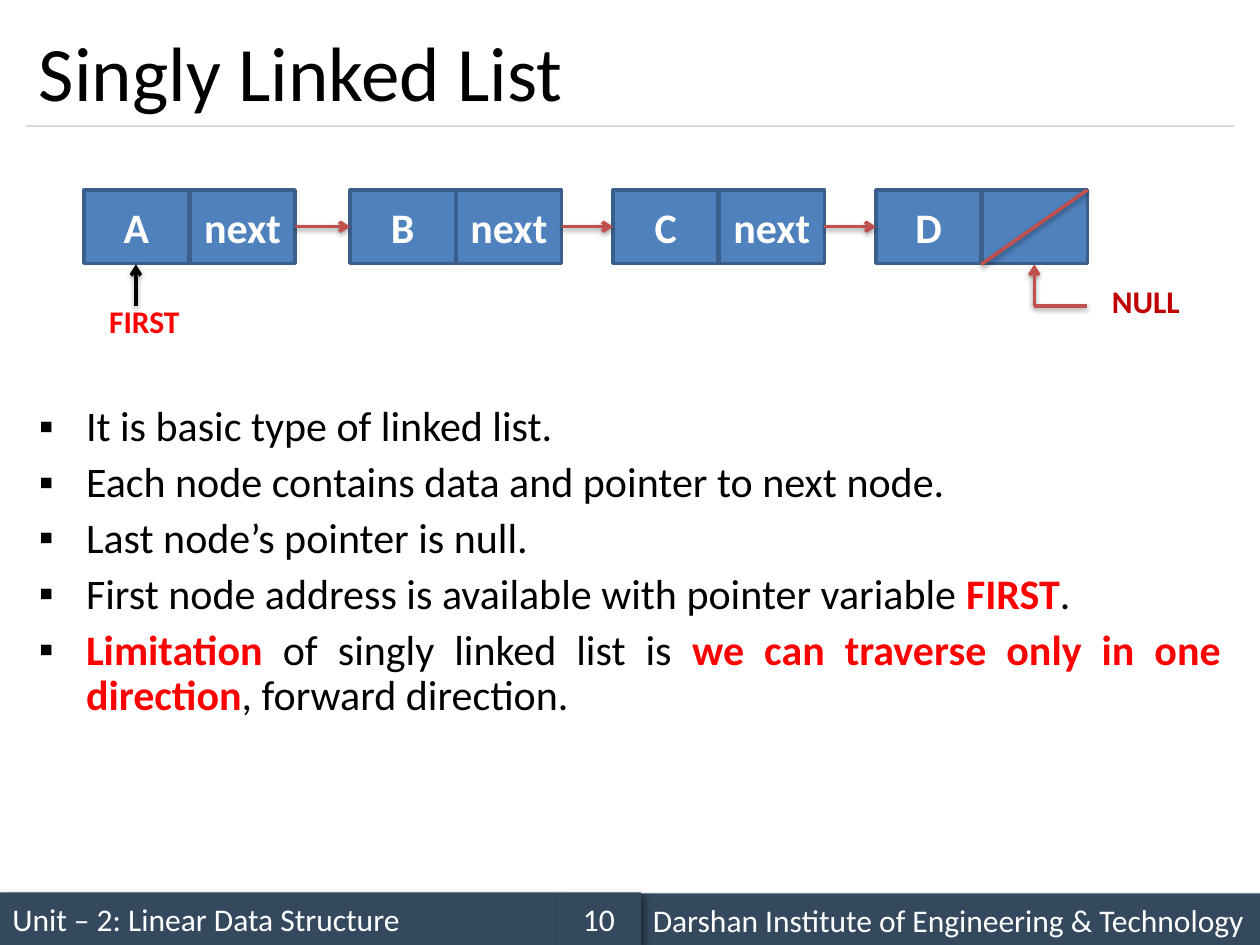
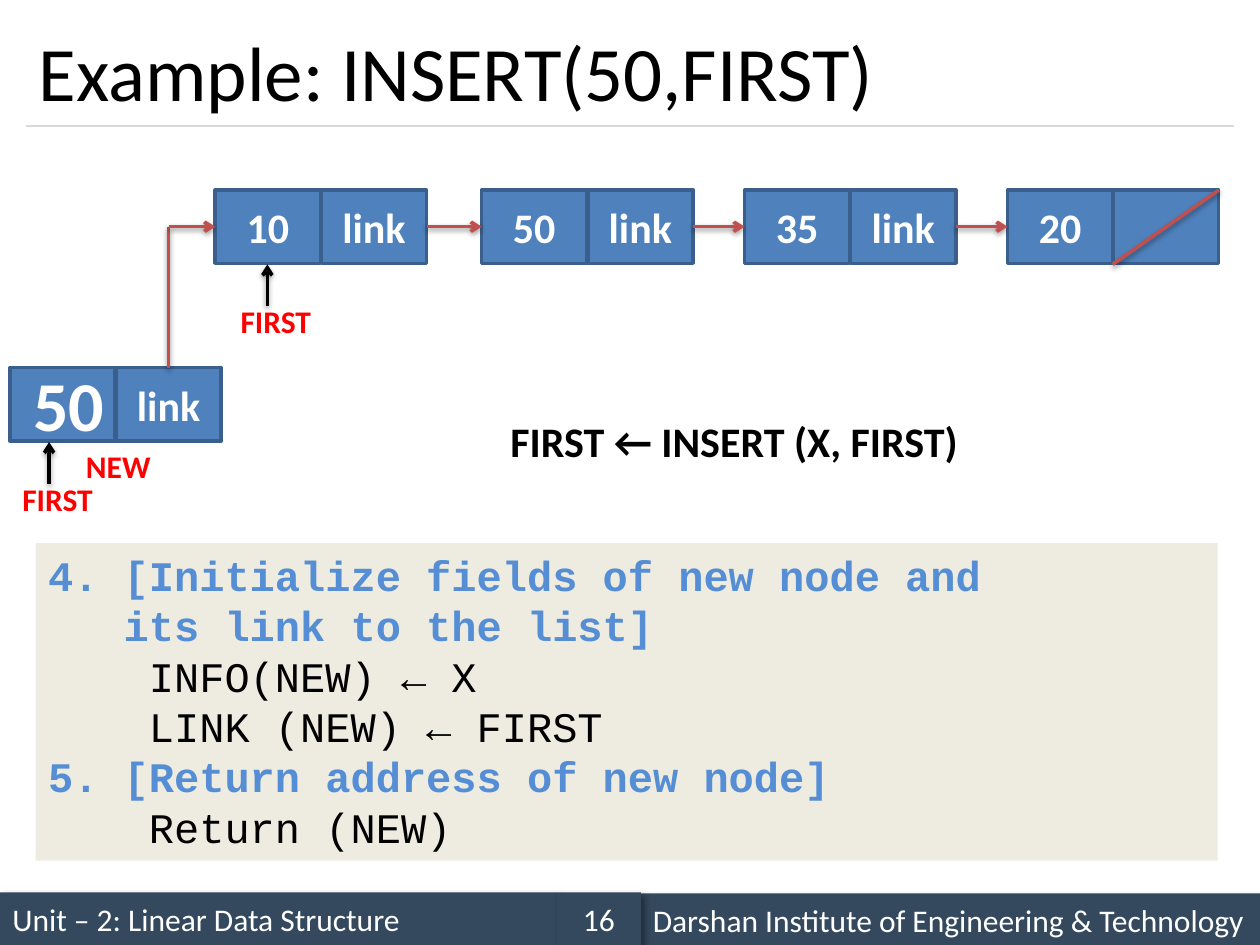
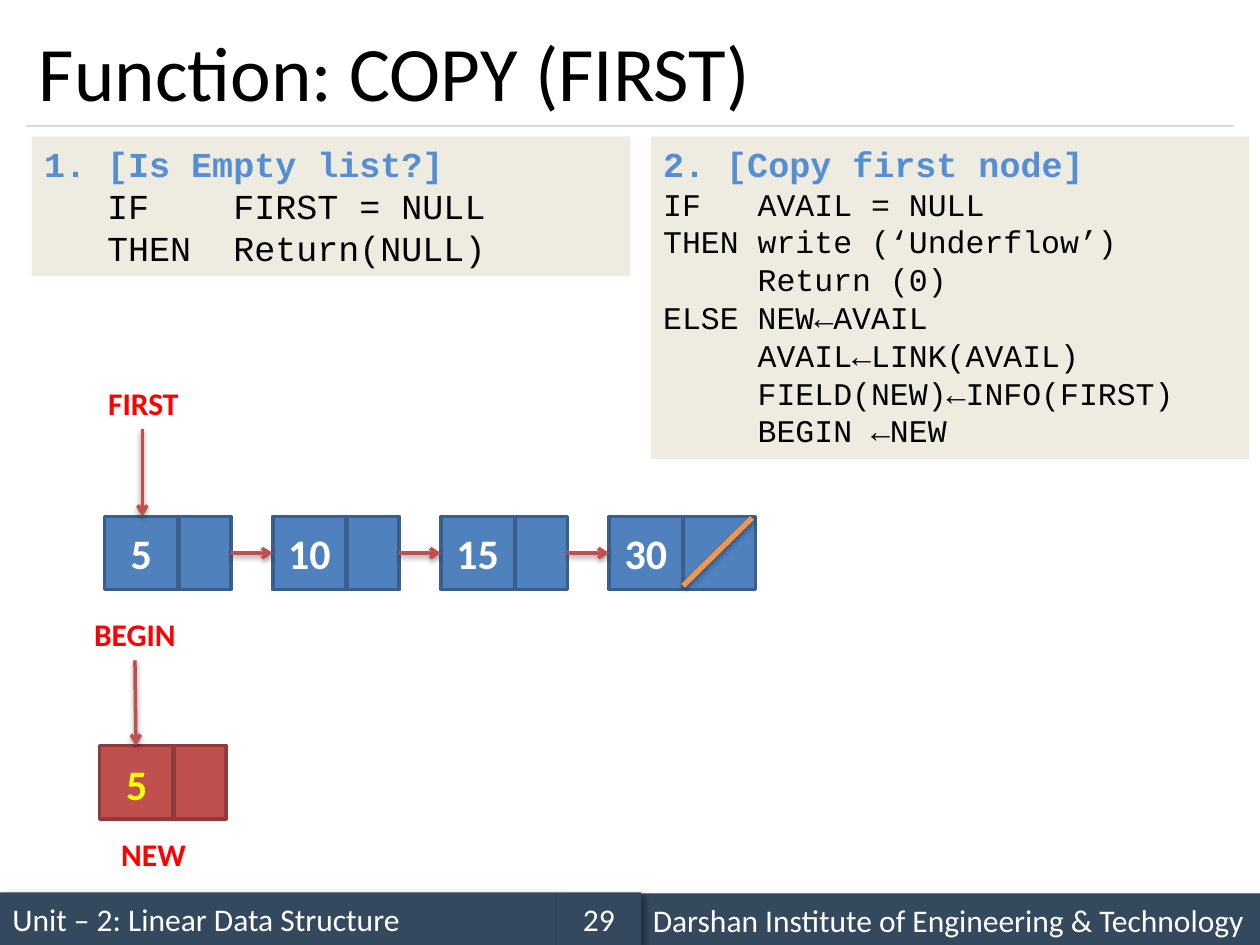
from collections import namedtuple
from dataclasses import dataclass

from lxml.etree import SubElement
from pptx import Presentation
from pptx.dml.color import RGBColor
from pptx.enum.shapes import MSO_CONNECTOR, MSO_SHAPE
from pptx.enum.text import MSO_ANCHOR, MSO_AUTO_SIZE, PP_ALIGN
from pptx.oxml.ns import qn
from pptx.util import Cm, Pt

Style = namedtuple("Style", "size color bold font", defaults=(False, "Calibri"))


@dataclass(frozen=True)
class Theme:
    band: str = "34495E"
    rule: str = "D9D9D9"
    node: str = "4F81BD"
    node_edge: str = "3A5F8C"
    new_node: str = "C0504D"
    new_edge: str = "8E3B39"
    link: str = "C0504D"
    slash: str = "F79646"
    black: str = "000000"
    code_fill: str = "EEECE1"
    title: Style = Style(44, "000000")
    body: Style = Style(24, "000000")
    strong: Style = Style(24, "FF0000", True)
    formula: Style = Style(24, "000000", True)
    footer: Style = Style(18, "FFFFFF")
    cell: Style = Style(24, "FFFFFF", True)
    big_cell: Style = Style(40, "FFFFFF", True)
    new_cell: Style = Style(24, "FFFF00", True)
    label: Style = Style(18, "FF0000", True)
    null: Style = Style(18, "C00000", True)


T = Theme()
TITLE_ONLY, TITLE_BODY = 5, 1
NODE_H = 1.48
NODE_GAP = 0.02
WIDE = (2.12, 2.12)
NARROW = (1.48, 1.05)
CHAIN_TOP = 3.83
CHAIN_STEPS = (0, 5.37, 10.67, 15.97)


def rgb(value):
    return RGBColor.from_string(value)


def box(x, y, w, h):
    return Cm(x), Cm(y), Cm(w), Cm(h)


def add_run(p, text, style):
    r = p.add_run()
    r.text = text
    r.font.name = style.font
    r.font.size = Pt(style.size)
    r.font.bold = style.bold
    r.font.color.rgb = rgb(style.color)


def write(tf, paragraphs, align=PP_ALIGN.LEFT):
    for i, runs in enumerate(paragraphs):
        p = tf.add_paragraph() if i else tf.paragraphs[0]
        p.alignment = align
        for text, style in runs:
            add_run(p, text, style)


def add_shadow(shape, blur, dist, angle, alpha):
    effects = SubElement(shape._element.spPr, qn("a:effectLst"))
    outer = SubElement(effects, qn("a:outerShdw"), blurRad=str(Pt(blur)),
                       dist=str(Pt(dist)), dir=str(angle * 60000), rotWithShape="0")
    color = SubElement(outer, qn("a:srgbClr"), val=T.black)
    SubElement(color, qn("a:alpha"), val=str(alpha * 1000))


def add_rect(s, x, y, w, h, fill, edge=None):
    sp = s.shapes.add_shape(MSO_SHAPE.RECTANGLE, *box(x, y, w, h))
    sp.fill.solid()
    sp.fill.fore_color.rgb = rgb(fill)
    if edge:
        sp.line.color.rgb = rgb(edge)
        sp.line.width = Pt(2)
    else:
        sp.line.fill.background()
    sp.text_frame.word_wrap = True
    return sp


def add_line(s, x1, y1, x2, y2, color=T.link, width=2, head=False, shadow=True):
    line = s.shapes.add_connector(MSO_CONNECTOR.STRAIGHT, Cm(x1), Cm(y1), Cm(x2), Cm(y2))
    line.line.color.rgb = rgb(color)
    line.line.width = Pt(width)
    if head:
        SubElement(line.line._get_or_add_ln(), qn("a:tailEnd"), type="arrow")
    if shadow:
        add_shadow(line, 3.1, 1.6, 90, 38)
    else:
        SubElement(line._element.spPr, qn("a:effectLst"))


def add_arrow(s, x1, y1, x2, y2, color=T.link):
    add_line(s, x1, y1, x2, y2, color, head=True)


def add_label(s, x, y, w, h, text, style=T.label):
    tf = s.shapes.add_textbox(*box(x, y, w, h)).text_frame
    tf.word_wrap = False
    tf.auto_size = MSO_AUTO_SIZE.SHAPE_TO_FIT_TEXT
    write(tf, [[(text, style)]], PP_ALIGN.CENTER)


def add_node(s, x, y, widths, texts, fill=T.node, edge=T.node_edge):
    for w, text in zip(widths, texts):
        sp = add_rect(s, x, y, w, NODE_H, fill, edge)
        sp.shadow.inherit = False
        tf = sp.text_frame
        tf.margin_left = tf.margin_right = 0
        tf.vertical_anchor = MSO_ANCHOR.MIDDLE
        if text:
            write(tf, [[(text, T.cell)]], PP_ALIGN.CENTER)
        x += w + NODE_GAP


def add_chain(s, xs, y, widths, values, link="", last_widths=None):
    last = len(xs) - 1
    for i, (x, value) in enumerate(zip(xs, values)):
        if i < last:
            add_node(s, x, y, widths, (value, link))
        else:
            add_node(s, x, y, last_widths or widths, (value, ""))
    for x, following in zip(xs, xs[1:]):
        mid = y + NODE_H / 2
        add_arrow(s, x + sum(widths) + NODE_GAP, mid, following, mid)


def add_wide_chain(s, start, values, link):
    xs = [start + step for step in CHAIN_STEPS]
    add_chain(s, xs, CHAIN_TOP, WIDE, values, link)
    add_line(s, xs[-1] + sum(WIDE) + NODE_GAP, CHAIN_TOP,
             xs[-1] + WIDE[0], CHAIN_TOP + NODE_H + 0.02)


def add_first_pointer(s, x, node_top):
    bottom = node_top + NODE_H
    add_label(s, x + 0.24, bottom + 0.66, 1.96, 1.02, "FIRST")
    add_arrow(s, x + 1.05, bottom + 0.86, x + 1.05, bottom + 0.02, T.black)


def add_code(s, x, y, w, h, size, heading, code, code_size=None):
    head = Style(size, "558ED5", True, "Courier New")
    plain = Style(code_size or size, T.black, False, "Courier New")
    sp = add_rect(s, x, y, w, h, T.code_fill)
    sp.shadow.inherit = False
    tf = sp.text_frame
    tf.vertical_anchor = MSO_ANCHOR.TOP
    write(tf, [[(line, head if line in heading else plain)] for line in code])


def add_band(s, x, y, w, text, align=PP_ALIGN.LEFT):
    sp = add_rect(s, x, y, w, 1.07, T.band)
    add_shadow(sp, 4, 3, 45, 40)
    sp.text_frame.vertical_anchor = MSO_ANCHOR.MIDDLE
    write(sp.text_frame, [[(text, T.footer)]], align)


def place(sp, x, y, w, h):
    sp.left, sp.top, sp.width, sp.height = box(x, y, w, h)
    sp.text_frame.auto_size = MSO_AUTO_SIZE.NONE
    return sp.text_frame


def add_slide(prs, layout, title, number):
    s = prs.slides.add_slide(prs.slide_layouts[layout])
    add_band(s, 0, 17.99, 11.23, "Unit – 2: Linear Data Structure")
    add_line(s, 0.53, 2.54, 24.87, 2.54, T.rule, 0.75, shadow=False)
    add_band(s, 12.91, 18.01, 12.49, "Darshan Institute of Engineering & Technology")
    add_band(s, 11.23, 17.99, 1.69, str(number), PP_ALIGN.CENTER)
    tf = place(s.shapes.title, 0.53, 0.3, 24.34, 2.24)
    tf.vertical_anchor = MSO_ANCHOR.MIDDLE
    write(tf, [[(title, T.title)]])
    return s


def add_bullets(s, x, y, w, h, items):
    tf = place(s.placeholders[1], x, y, w, h)
    write(tf, items, PP_ALIGN.JUSTIFY)
    for i, p in enumerate(tf.paragraphs):
        p.line_spacing = 0.9
        p.space_before = Pt(6 if i else 0)
        pPr = p._p.get_or_add_pPr()
        pPr.set("marL", str(Cm(0.95)))
        pPr.set("indent", str(-Cm(0.95)))
        color = SubElement(pPr, qn("a:buClr"))
        SubElement(color, qn("a:srgbClr"), val=T.black)
        SubElement(pPr, qn("a:buChar"), char="▪")


def build_singly_linked_list(prs):
    s = add_slide(prs, TITLE_BODY, "Singly Linked List", 10)
    add_bullets(s, 0.53, 8.05, 24.34, 6.99, [
        [("It is basic type of linked list.", T.body)],
        [("Each node contains data and pointer to next node.", T.body)],
        [("Last node’s pointer is null.", T.body)],
        [("First node address is available with pointer variable ", T.body),
         ("FIRST", T.strong), (".", T.body)],
        [("Limitation ", T.strong), ("of singly linked list is ", T.body),
         ("we can traverse only in one direction", T.strong),
         (", forward direction.", T.body)],
    ])
    start = 1.69
    add_wide_chain(s, start, "ABCD", "next")
    add_first_pointer(s, start, CHAIN_TOP)
    add_arrow(s, 20.85, 6.17, 20.85, 5.33)
    add_line(s, 20.85, 6.17, 21.92, 6.17)
    add_label(s, 22.07, 5.56, 2.06, 1.02, "NULL", T.null)


def build_insert_example(prs):
    s = add_slide(prs, TITLE_ONLY, "Example: INSERT(50,FIRST)", 16)
    start, new_x, new_top = 4.34, 0.2, 7.41
    add_wide_chain(s, start, ("10", "50", "35", "20"), "link")
    add_first_pointer(s, start, CHAIN_TOP)
    add_node(s, new_x, new_top, WIDE, ("", "link"))
    add_label(s, 1.47, 8.89, 1.83, 1.02, "NEW")
    add_label(s, 0.41, 7.16, 1.96, 1.96, "50", T.big_cell)
    heading = ("4. [Initialize fields of new node and",
               "   its link to the list]",
               "5. [Return address of new node]")
    add_code(s, 0.72, 10.95, 23.83, 6.4, 24, heading, [
        *heading[:2],
        "    INFO(NEW) ← X",
        "    LINK (NEW) ← FIRST",
        heading[2],
        "    Return (NEW)",
    ])
    mid = CHAIN_TOP + NODE_H / 2
    add_line(s, 3.4, new_top, 3.4, mid)
    add_arrow(s, 3.4, mid, start, mid)
    add_label(s, 9.96, 8.26, 9.68, 1.27, "FIRST ← INSERT (X, FIRST)", T.formula)
    add_first_pointer(s, -0.06, new_top)


def build_copy_function(prs):
    s = add_slide(prs, TITLE_ONLY, "Function: COPY (FIRST)", 29)
    empty_check, copy_first = "1. [Is Empty list?]", "2. [Copy first node]"
    add_code(s, 0.64, 2.75, 12.07, 2.82, 20, [empty_check], [
        empty_check,
        "   IF    FIRST = NULL",
        "   THEN  Return(NULL)",
    ])
    add_code(s, 13.12, 2.75, 12.07, 6.5, 20, [copy_first], [
        copy_first,
        "IF   AVAIL = NULL",
        "THEN write (‘Underflow’)",
        "     Return (0)",
        "ELSE NEW←AVAIL",
        "     AVAIL←LINK(AVAIL)",
        "     FIELD(NEW)←INFO(FIRST)",
        "     BEGIN ←NEW",
    ], code_size=18)
    top, new_top = 10.41, 15.03
    xs = [2.11 + 3.39 * i for i in range(4)]
    add_chain(s, xs, top, NARROW, ("5", "10", "15", "30"), last_widths=(1.48, 1.45))
    add_line(s, 13.77, 11.81, 15.16, 10.44, T.slash, 3)
    add_label(s, 1.91, 7.62, 1.96, 1.02, "FIRST")
    add_arrow(s, 2.87, 8.64, 2.87, top)
    add_node(s, 2.01, new_top, NARROW, ("", ""), T.new_node, T.new_edge)
    add_label(s, 2.18, 16.71, 1.83, 1.02, "NEW")
    add_label(s, 2.29, 15.16, 0.94, 1.27, "5", T.new_cell)
    add_label(s, 1.63, 12.27, 2.18, 1.02, "BEGIN")
    add_arrow(s, 2.72, 13.31, 2.74, new_top)


def main():
    prs = Presentation()
    prs.slide_width, prs.slide_height = Cm(25.4), Cm(19.05)
    build_singly_linked_list(prs)
    build_insert_example(prs)
    build_copy_function(prs)
    prs.save("out.pptx")


if __name__ == "__main__":
    main()
